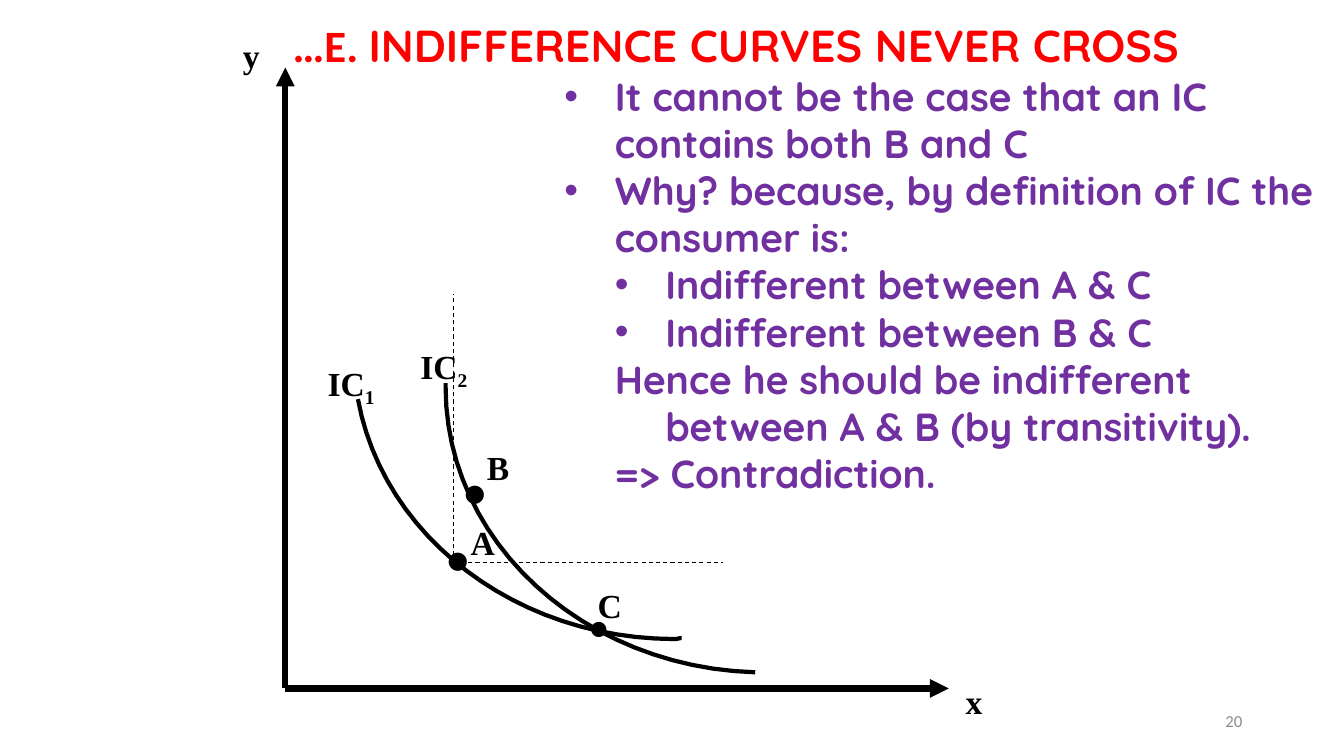
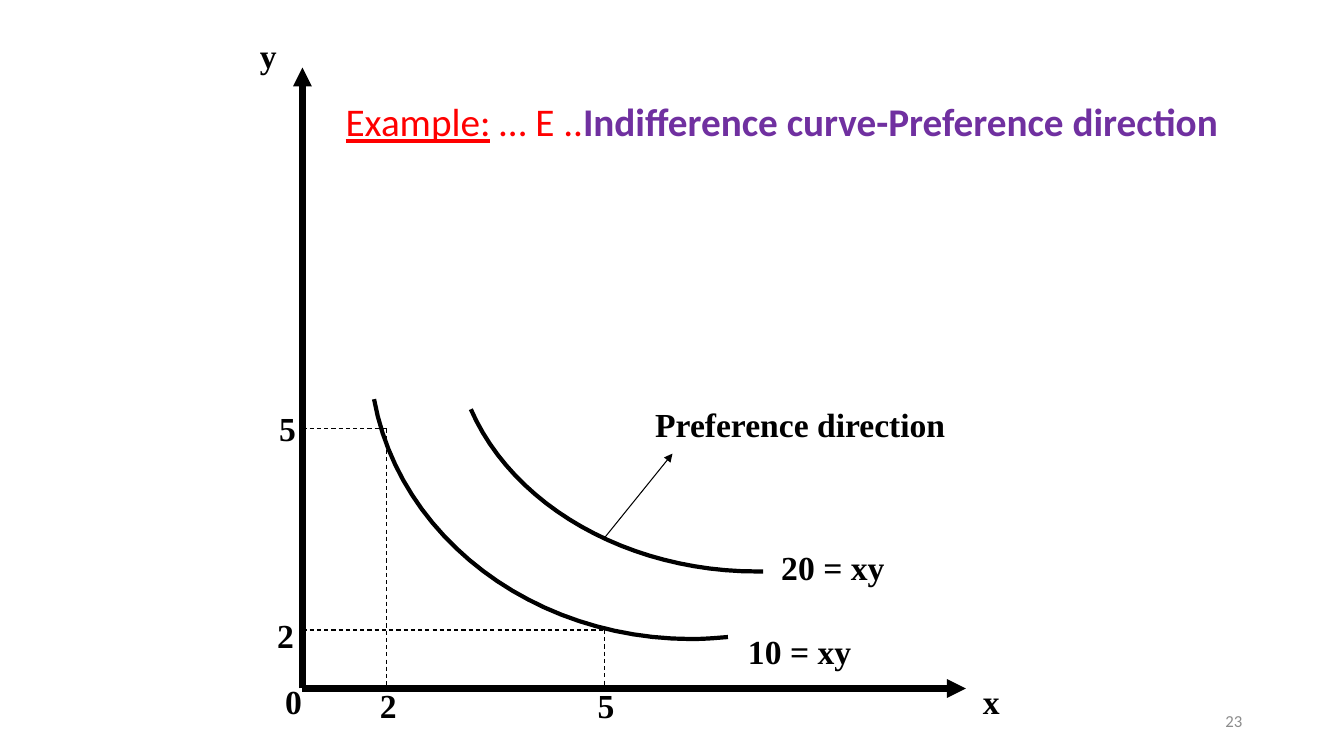
"""Build two slides on indifference curves."""
from dataclasses import dataclass

from lxml import etree
from pptx import Presentation
from pptx.dml.color import RGBColor
from pptx.enum.dml import MSO_LINE
from pptx.enum.shapes import MSO_CONNECTOR
from pptx.enum.text import MSO_ANCHOR, MSO_AUTO_SIZE, PP_ALIGN
from pptx.oxml.ns import qn
from pptx.slide import Slide
from pptx.util import Inches, Pt

BLACK = RGBColor(0x00, 0x00, 0x00)
RED = RGBColor(0xFF, 0x00, 0x00)
PURPLE = RGBColor(0x70, 0x30, 0xA0)
GREY = RGBColor(0x8C, 0x8C, 0x8C)
SERIF, SANS, ROUND = "Times New Roman", "Calibri", "Quicksand"
STRAIGHT = MSO_CONNECTOR.STRAIGHT
DASH = MSO_LINE.DASH
LEFT, RIGHT = PP_ALIGN.LEFT, PP_ALIGN.RIGHT
TOP, MIDDLE = MSO_ANCHOR.TOP, MSO_ANCHOR.MIDDLE
GROW, FIXED = MSO_AUTO_SIZE.SHAPE_TO_FIT_TEXT, MSO_AUTO_SIZE.NONE
BASE, TALL = 6.83, 0.67
STEPS = 24

Point = tuple[float, float]


@dataclass(frozen=True)
class Run:
    text: str
    font: str | None = None
    color: RGBColor | None = None
    bold: bool | None = None
    under: bool = False
    sub: bool = False


@dataclass(frozen=True)
class Para:
    runs: tuple[Run, ...]
    margin: float = 0
    indent: float = 0
    bullet: bool = False


@dataclass(frozen=True)
class Label:
    text: str
    x: float
    y: float
    w: float = 0.37
    h: float = 0.5
    size: int = 24
    sub: str = ""


@dataclass(frozen=True)
class Line:
    start: Point
    end: Point
    width: float = 0.75
    dash: bool = True
    arrow: bool = False


@dataclass(frozen=True)
class Curve:
    start: Point
    bends: tuple[tuple[Point, Point, Point], ...]


def write(slide: Slide, box: tuple[float, float, float, float],
          paras: list[Para], *, size: int = 24, font: str = SERIF,
          color: RGBColor = BLACK, bold: bool = True, align=LEFT,
          anchor=TOP, wrap: bool = True, fit=GROW) -> None:
    frame = slide.shapes.add_textbox(*map(Inches, box)).text_frame
    frame.word_wrap = wrap
    frame.auto_size = fit
    frame.vertical_anchor = anchor
    for i, para in enumerate(paras):
        p = frame.add_paragraph() if i else frame.paragraphs[0]
        p.alignment = align
        props = p._p.get_or_add_pPr()
        props.set("marL", str(Inches(para.margin)))
        props.set("indent", str(Inches(para.indent)))
        if para.bullet:
            face = etree.SubElement(props, qn("a:buFont"))
            face.set("typeface", "Arial")
            etree.SubElement(props, qn("a:buChar")).set("char", "•")
        for piece in para.runs:
            run = p.add_run()
            run.text = piece.text
            run.font.size = Pt(size)
            run.font.name = piece.font or font
            run.font.bold = bold if piece.bold is None else piece.bold
            run.font.color.rgb = piece.color or color
            run.font.underline = piece.under
            if piece.sub:
                run._r.get_or_add_rPr().set("baseline", "-25000")


def mark(slide: Slide, label: Label) -> None:
    runs = (Run(label.text),)
    if label.sub:
        runs += (Run(label.sub, sub=True),)
    write(slide, (label.x, label.y, label.w, label.h), [Para(runs)],
          size=label.size, wrap=False)


def rule(slide: Slide, line: Line) -> None:
    ends = map(Inches, line.start + line.end)
    item = slide.shapes.add_connector(STRAIGHT, *ends)
    item.line.color.rgb = BLACK
    item.line.width = Pt(line.width)
    if line.dash:
        item.line.dash_style = DASH
    if line.arrow:
        tip = etree.SubElement(item.line._get_or_add_ln(), qn("a:tailEnd"))
        tip.set("type", "triangle")
    etree.SubElement(item._element.spPr, qn("a:effectLst"))


def blend(a: float, b: float, c: float, d: float, t: float) -> float:
    u = 1 - t
    return u**3 * a + 3 * u * u * t * b + 3 * u * t * t * c + t**3 * d


def trace(slide: Slide, curve: Curve) -> None:
    spots, last = [], curve.start
    for bend in curve.bends:
        axes = list(zip(last, *bend))
        spots += [tuple(Inches(blend(*axis, i / STEPS)) for axis in axes)
                  for i in range(1, STEPS + 1)]
        last = bend[-1]
    pen = slide.shapes.build_freeform(*map(Inches, curve.start))
    pen.add_line_segments(spots, close=False)
    shape = pen.convert_to_shape()
    shape.shadow.inherit = False
    shape.fill.background()
    shape.line.color.rgb = BLACK
    shape.line.width = Pt(3)


def graph(slide: Slide, left: float, page: int, curves: list[Curve],
          lines: list[Line], labels: list[Label]) -> None:
    zero = (left, BASE)
    for end in ((left + 6.58, BASE), (left, TALL)):
        rule(slide, Line(zero, end, 4.5, dash=False, arrow=True))
    for curve in curves:
        trace(slide, curve)
    for line in lines:
        rule(slide, line)
    names = [Label("x", left + 6.65, 6.71), Label("y", left - 0.52, 0.3)]
    for label in names + labels:
        mark(slide, label)
    write(slide, (9.42, 6.95, 3, 0.4), [Para((Run(str(page)),))], size=12,
          font=SANS, color=GREY, bold=False, align=RIGHT, anchor=MIDDLE,
          fit=FIXED)


def cross(slide: Slide) -> None:
    a = (4.5, 5.58)
    curves = [
        Curve((6.76, 6.33), (((6.74, 6.33), (6.72, 6.34), (6.69, 6.34)),
                             ((5.13, 6.34), (3.8, 5.33), (3.55, 3.96)))),
        Curve((7.49, 6.67), (((5.78, 6.62), (4.42, 5.37), (4.42, 3.84)),
                             ((4.42, 3.83), (4.42, 3.81), (4.42, 3.8)))),
    ]
    labels = [
        Label("•", 4.33, 5.08, 0.43, 0.9, 48),
        Label("A", 4.57, 5.13, 0.44),
        Label("•", 4.5, 4.42, 0.43, 0.9, 48),
        Label("B", 4.73, 4.38, 0.42),
        Label("•", 5.75, 5.83, 0.39, 0.77, 40),
        Label("C", 5.83, 5.75, 0.44),
        Label("IC", 3.15, 3.55, 0.68, sub="1"),
        Label("IC", 4.07, 3.38, 0.68, sub="2"),
    ]
    graph(slide, 2.83, 20, curves,
          [Line(a, (7.17, 5.58)), Line(a, (4.5, 2.92))], labels)
    rows = [
        ("It cannot be the case that an IC contains both B and C",
         0.5, -0.5, True),
        ("Why? because, by definition of IC the consumer is:",
         0.5, -0.5, True),
        ("Indifferent between A & C", 1, -0.5, True),
        ("Indifferent between B & C", 1, -0.5, True),
        ("Hence he should be indifferent between A & B (by transitivity).",
         1, -0.5, False),
        ("=> Contradiction.", 0.5, 0, False),
    ]
    write(slide, (5.5, 0.67, 7.71, 4.34),
          [Para((Run(text),), *form) for text, *form in rows],
          size=28, font=ROUND, color=PURPLE)
    title = Para((Run("…E. ", font=SANS),
                  Run("INDIFFERENCE CURVES NEVER CROSS")))
    write(slide, (0.76, 0.13, 11.04, 0.37), [title], size=32, font=ROUND,
          color=RED, align=RIGHT, fit=FIXED)


def prefer(slide: Slide) -> None:
    left = 3
    title = Para((Run("Example:", under=True), Run(" … E .."),
                  Run("Indifference curve-Preference direction",
                      color=PURPLE, bold=True)))
    write(slide, (3.33, 0.92, 9.14, 0.57), [title], size=28, font=SANS,
          color=RED, bold=False)
    curves = [
        Curve((7.22, 6.32), (((7.1, 6.33), (6.98, 6.34), (6.86, 6.34)),
                             ((5.29, 6.34), (3.96, 5.33), (3.71, 3.96)))),
        Curve((7.57, 5.67), (((7.55, 5.67), (7.53, 5.67), (7.51, 5.67)),
                             ((6.23, 5.67), (5.09, 5.02), (4.67, 4.06)))),
    ]
    lines = [Line((6, 5.33), (6.67, 4.5), dash=False, arrow=True)]
    for x, y in ((6, 6.25), (3.83, 4.25)):
        lines += [Line((left, y), (x, y)), Line((x, y), (x, BASE))]
    labels = [
        Label("10 = xy", 7.32, 6.21, 1.22),
        Label("20 = xy", 7.65, 5.38, 1.22),
        Label("Preference direction", 6.4, 3.96, 3.09),
        Label("2", 3.67, 6.75),
        Label("0", 2.73, 6.71),
        Label("5", 5.83, 6.75),
        Label("2", 2.65, 6.05),
        Label("5", 2.67, 4),
    ]
    graph(slide, left, 23, curves, lines, labels)


def main() -> None:
    deck = Presentation()
    deck.slide_width, deck.slide_height = Inches(13.33), Inches(7.5)
    for draw in (cross, prefer):
        draw(deck.slides.add_slide(deck.slide_layouts[6]))
    deck.save("out.pptx")


if __name__ == "__main__":
    main()
